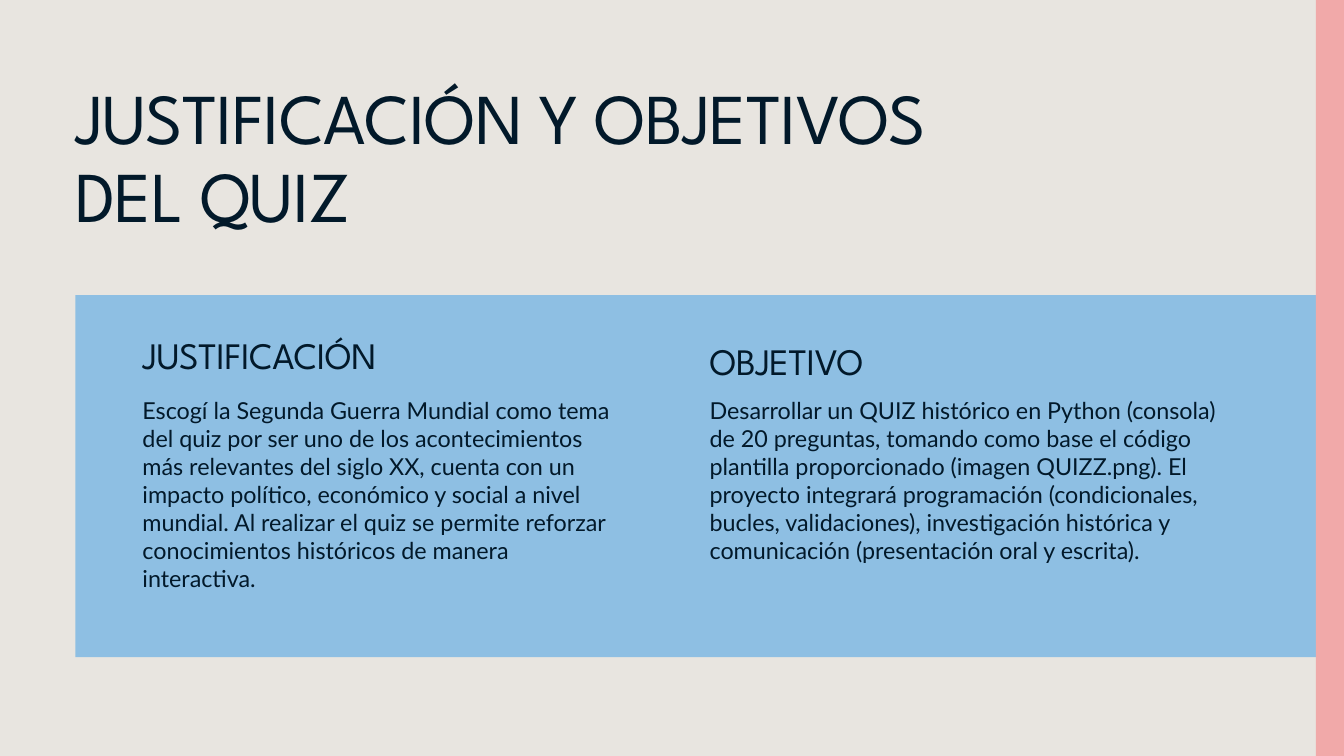
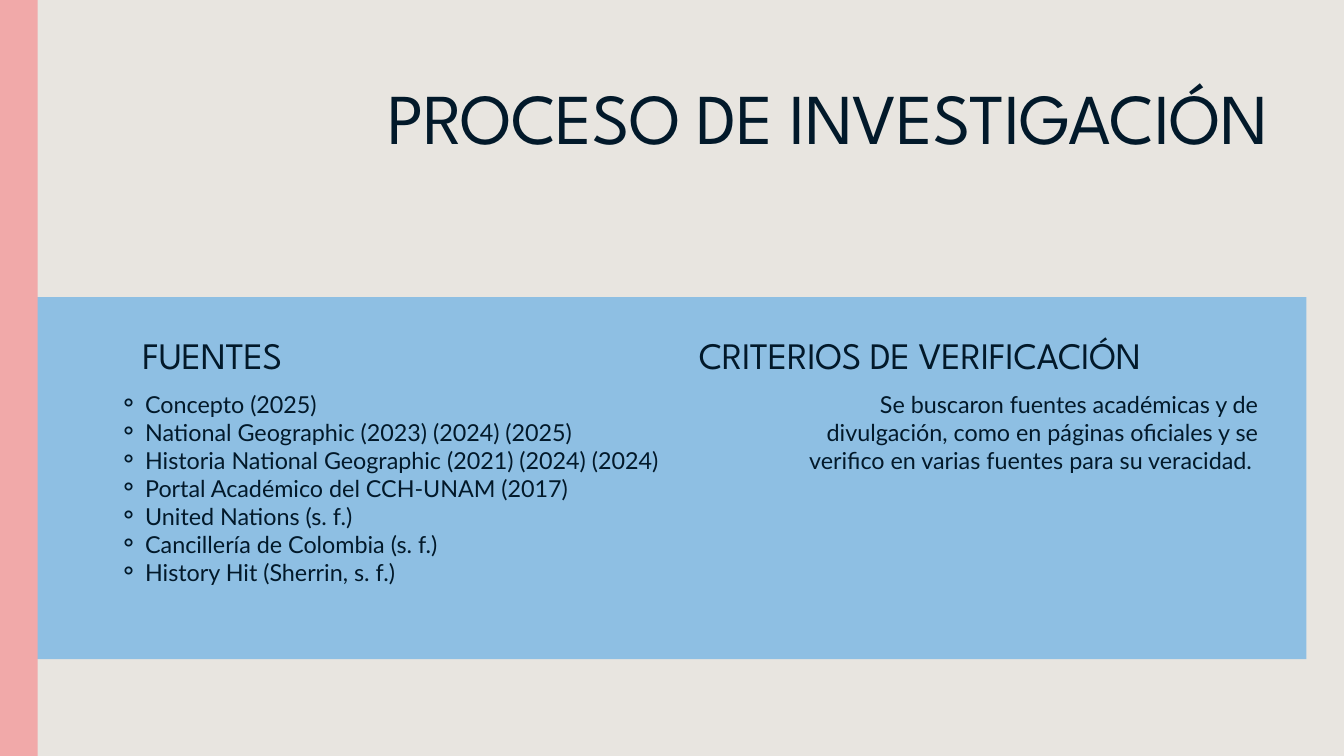
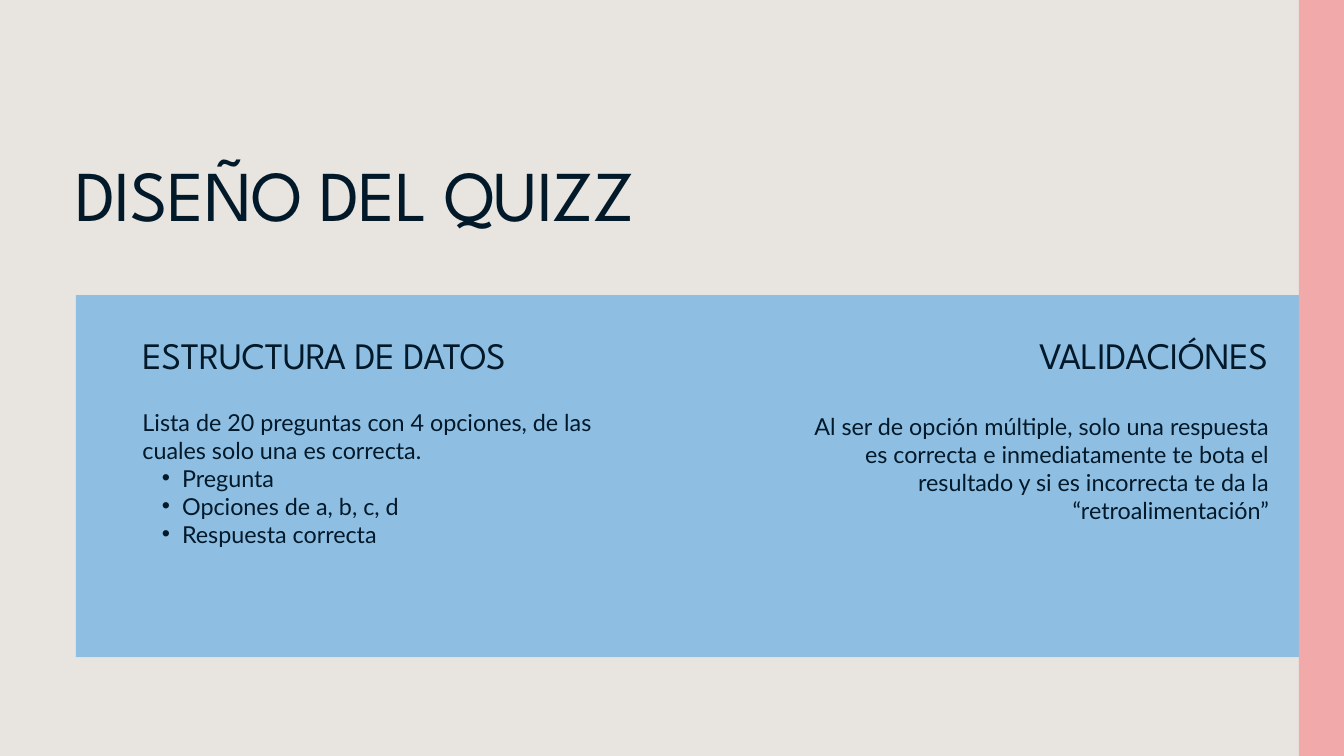
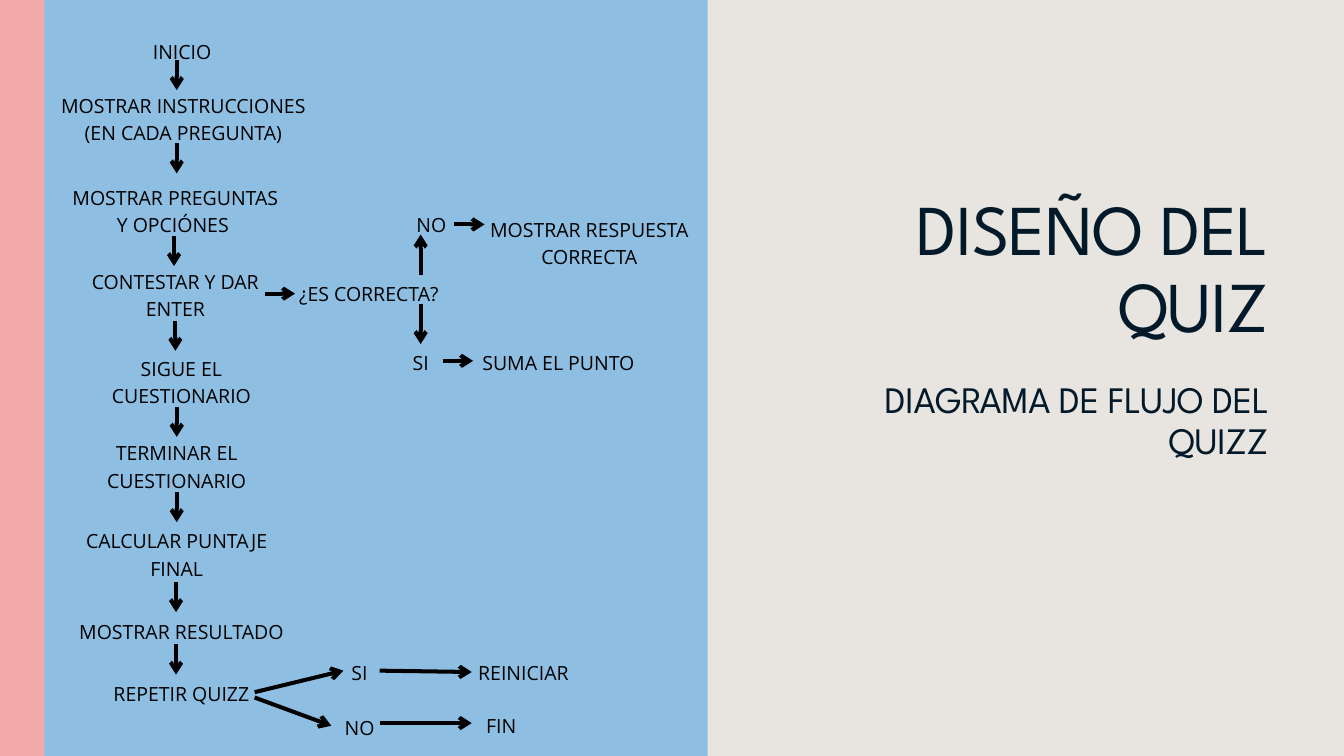
from lxml import etree
from pptx import Presentation
from pptx.dml.color import RGBColor
from pptx.enum.shapes import MSO_CONNECTOR, MSO_SHAPE
from pptx.enum.text import MSO_ANCHOR, MSO_AUTO_SIZE, PP_ALIGN
from pptx.oxml.ns import qn
from pptx.util import Inches, Pt

LEFT, CENTER, RIGHT = PP_ALIGN.LEFT, PP_ALIGN.CENTER, PP_ALIGN.RIGHT
TOP, NO_AUTOFIT = MSO_ANCHOR.TOP, MSO_AUTO_SIZE.NONE
RECTANGLE, STRAIGHT = MSO_SHAPE.RECTANGLE, MSO_CONNECTOR.STRAIGHT

# Shared look
BEIGE = RGBColor(0xE8, 0xE5, 0xE0)
BLUE = RGBColor(0x8E, 0xBF, 0xE3)
PINK = RGBColor(0xF1, 0xA9, 0xA9)
NAVY = RGBColor(0x02, 0x19, 0x2A)
BLACK = RGBColor(0, 0, 0)
SLIDE_W, SLIDE_H = 20, 11.25
COVER_LAYOUT, COMPARISON_LAYOUT = 0, 4

TITLE = dict(font="League Spartan", size=76.6, line=82.8, tracking=-0.8)
HEADING = dict(font="League Spartan", size=40, line=43.2, tracking=-0.4)
BODY = dict(font="Lato", size=25, line=30)
STEP = dict(font="Open Sans", size=20.9, line=29.3, color=BLACK, align=CENTER)

# Bullet: (character, level, left margin, hanging indent)
RING = ("⚬", 2, 1.18, -0.39)
DOT = ("•", 1, 0.59, -0.3)

# Two-column slides; boxes are (left, top, width, height)
COLUMN_SLIDES = [
    dict(
        title=("JUSTIFICACIÓN Y OBJETIVOS DEL QUIZ", (1.12, 1.22, 13.07, 2.32), LEFT),
        panel=(1.12, 4.39, 18.88, 5.39),
        edge=(19.58, 0, 0.42, SLIDE_H),
        columns=[
            dict(heading=("JUSTIFICACIÓN", (2.12, 5.01, 5.25, 0.62), LEFT),
                 body=(["Escogí la Segunda Guerra Mundial como tema del quiz por ser uno "
                        "de los acontecimientos más relevantes del siglo XX, cuenta con un "
                        "impacto político, económico y social a nivel mundial. Al realizar "
                        "el quiz se permite reforzar conocimientos históricos de manera "
                        "interactiva."], (2.12, 5.89, 6.99, 3.66), LEFT)),
            dict(heading=("OBJETIVO", (10.56, 5.1, 5.25, 0.62), LEFT),
                 body=(["Desarrollar un QUIZ histórico en Python (consola) de 20 preguntas, "
                        "tomando como base el código plantilla proporcionado (imagen "
                        "QUIZZ.png). El proyecto integrará programación (condicionales, "
                        "bucles, validaciones), investigación histórica y comunicación "
                        "(presentación oral y escrita)."], (10.56, 5.89, 7.57, 3.25), LEFT)),
        ],
    ),
    dict(
        title=("PROCESO DE INVESTIGACIÓN", (5.62, 1.22, 13.26, 2.33), RIGHT),
        panel=(0, 4.42, 19.44, 5.39),
        edge=(0, 0, 0.56, SLIDE_H),
        columns=[
            dict(heading=("FUENTES", (2.12, 5.01, 5.25, 0.62), LEFT),
                 body=([(RING, "Concepto (2025)"),
                        (RING, "National Geographic (2023) (2024) (2025)"),
                        (RING, "Historia National Geographic (2021) (2024) (2024)"),
                        (RING, "Portal Académico del CCH-UNAM (2017)"),
                        (RING, "United Nations (s. f.)"),
                        (RING, "Cancillería de Colombia (s. f.)"),
                        (RING, "History Hit (Sherrin, s. f.)")],
                       (0.98, 5.8, 11.91, 3.25), LEFT)),
            dict(heading=("CRITERIOS DE VERIFICACIÓN", (10.4, 5.01, 8.47, 0.62), LEFT),
                 body=(["Se buscaron fuentes académicas y de divulgación, como en páginas "
                        "oficiales y se verifico en varias fuentes para su veracidad. "],
                       (11.73, 5.8, 6.99, 2.03), RIGHT)),
        ],
    ),
    dict(
        title=("DISEÑO DEL QUIZZ", (1.12, 2.36, 13.07, 1.18), LEFT),
        panel=(1.13, 4.39, 18.87, 5.39),
        edge=(19.33, 0, 0.67, SLIDE_H),
        columns=[
            dict(heading=("ESTRUCTURA DE DATOS", (2.12, 5.01, 8.47, 0.62), LEFT),
                 body=(["Lista de 20 preguntas con 4 opciones, de las cuales solo una es "
                        "correcta.",
                        (DOT, "Pregunta"),
                        (DOT, "Opciones de a, b, c, d"),
                        (DOT, "Respuesta correcta")], (2.12, 6.07, 6.99, 2.03), LEFT)),
            dict(heading=("VALIDACIÓNES", (10.4, 5.01, 8.47, 0.62), RIGHT),
                 body=(["Al ser de opción múltiple, solo una respuesta es correcta e "
                        "inmediatamente te bota el resultado y si es incorrecta te da la "
                        "“retroalimentación”"], (11.89, 6.14, 6.99, 1.62), RIGHT)),
        ],
    ),
]

# Flow chart slide
FLOW_TITLE = ("DISEÑO DEL QUIZ", (12.24, 2.86, 6.64, 2.33), RIGHT)
FLOW_SUBTITLE = ("DIAGRAMA DE FLUJO DEL QUIZZ", (11.82, 5.67, 7.06, 1.21), RIGHT)
FLOW_PANEL = (0, 0, 10.53, SLIDE_H)
FLOW_EDGE = (0, 0, 0.66, SLIDE_H)
STEP_W = 3.1
STEP_HEIGHTS = {1: 0.38, 2: 0.78}

# (paragraphs, left, top, width, lines)
FLOW_STEPS = [
    (["INICIO"], 2.02, 0.54, 1.38, 1),
    (["MOSTRAR INSTRUCCIONES", "(EN CADA PREGUNTA)"], 0.75, 1.34, 3.96, 2),
    (["MOSTRAR PREGUNTAS Y OPCIÓNES "], 1.06, 2.71, STEP_W, 2),
    (["CONTESTAR Y DAR ENTER"], 1.06, 3.96, STEP_W, 2),
    (["¿ES CORRECTA?"], 3.94, 4.14, STEP_W, 1),
    (["SI"], 4.71, 5.17, STEP_W, 1),
    (["NO"], 4.87, 3.11, STEP_W, 1),
    (["SUMA EL PUNTO"], 6.76, 5.17, STEP_W, 1),
    (["MOSTRAR RESPUESTA CORRECTA"], 7.22, 3.18, STEP_W, 2),
    (["SIGUE EL CUESTIONARIO"], 1.15, 5.25, STEP_W, 2),
    (["TERMINAR EL CUESTIONARIO"], 1.08, 6.51, STEP_W, 2),
    (["CALCULAR PUNTAJE FINAL"], 1.08, 7.82, STEP_W, 2),
    (["MOSTRAR RESULTADO"], 1.15, 9.16, STEP_W, 1),
    (["REPETIR QUIZZ"], 1.15, 10.09, STEP_W, 1),
    (["SI"], 3.8, 9.77, STEP_W, 1),
    (["NO"], 3.8, 10.59, STEP_W, 1),
    (["REINICIAR"], 6.24, 9.77, STEP_W, 1),
    (["FIN"], 5.91, 10.56, STEP_W, 1),
]

# Short arrows share one length; the others are (x1, y1, x2, y2)
SHORT_ARROW = 0.45
DOWN_STARTS = [(2.63, 0.89), (2.63, 2.13), (2.59, 3.51), (2.61, 4.77),
               (2.63, 6.05), (2.63, 7.32), (2.62, 8.66), (2.62, 9.59)]
RIGHT_STARTS = [(3.94, 4.37), (6.76, 3.34), (6.59, 5.37)]
BRANCH_ARROWS = [
    (6.26, 4.1, 6.26, 3.49), (6.26, 4.52, 6.26, 5.12),
    (3.79, 10.38, 4.93, 10.8), (3.79, 10.3, 5.11, 9.98),
    (5.65, 9.98, 7.02, 10), (5.65, 10.76, 7.02, 10.76),
]


def set_bullet(paragraph, bullet):
    """Give the paragraph its bullet and indents, or clear inherited ones."""
    char, level, margin, indent = bullet or (None, 0, 0, 0)
    paragraph.level = level
    props = paragraph._p.get_or_add_pPr()
    props.set("marL", str(Inches(margin)))
    props.set("indent", str(Inches(indent)))
    if char:
        etree.SubElement(props, qn("a:buChar")).set("char", char)
    else:
        etree.SubElement(props, qn("a:buNone"))


def write_text(shape, content, box, *, font, size, line, color=NAVY,
               align=LEFT, tracking=0):
    """Place the shape and fill it with a string or a list of paragraphs."""
    shape.left, shape.top, shape.width, shape.height = map(Inches, box)
    frame = shape.text_frame
    frame.word_wrap = True
    frame.auto_size = NO_AUTOFIT
    frame.vertical_anchor = TOP
    frame.margin_left = frame.margin_top = frame.margin_right = frame.margin_bottom = 0
    items = [content] if isinstance(content, str) else content
    for number, item in enumerate(items):
        bullet, text = (None, item) if isinstance(item, str) else item
        paragraph = frame.add_paragraph() if number else frame.paragraphs[0]
        set_bullet(paragraph, bullet)
        paragraph.alignment = align
        paragraph.line_spacing = Pt(line)
        paragraph.space_before = paragraph.space_after = Pt(0)
        run = paragraph.add_run()
        run.text = text
        run.font.name = font
        run.font.size = Pt(size)
        run.font.bold = False
        run.font.color.rgb = color
        if tracking:
            run._r.get_or_add_rPr().set("spc", str(round(tracking * 100)))


def add_bands(slide, panel, edge):
    """Blue panel, then pink edge strip, both behind the text."""
    for depth, (box, color) in enumerate([(panel, BLUE), (edge, PINK)]):
        band = slide.shapes.add_shape(RECTANGLE, *map(Inches, box))
        band.shadow.inherit = False
        band.fill.solid()
        band.fill.fore_color.rgb = color
        band.line.fill.background()
        slide.shapes._spTree.insert(2 + depth, band._element)


def add_arrow(slide, points):
    arrow = slide.shapes.add_connector(STRAIGHT, *map(Inches, points))
    arrow.line.color.rgb = BLACK
    arrow.line.width = Pt(4.3)
    props = arrow._element.spPr
    etree.SubElement(props.find(qn("a:ln")), qn("a:tailEnd")).set("type", "arrow")
    etree.SubElement(props, qn("a:effectLst"))


def add_column_slide(prs, page):
    slide = prs.slides.add_slide(prs.slide_layouts[COMPARISON_LAYOUT])
    add_bands(slide, page["panel"], page["edge"])
    title, *column_parts = slide.placeholders
    text, box, align = page["title"]
    write_text(title, text, box, align=align, **TITLE)
    parts = [(column[name], style) for column in page["columns"]
             for name, style in (("heading", HEADING), ("body", BODY))]
    for holder, ((text, box, align), style) in zip(column_parts, parts):
        write_text(holder, text, box, align=align, **style)


def add_flow_slide(prs):
    slide = prs.slides.add_slide(prs.slide_layouts[COVER_LAYOUT])
    add_bands(slide, FLOW_PANEL, FLOW_EDGE)
    parts = [(FLOW_TITLE, TITLE), (FLOW_SUBTITLE, HEADING)]
    for holder, ((text, box, align), style) in zip(slide.placeholders, parts):
        write_text(holder, text, box, align=align, **style)

    # Steps
    for paragraphs, left, top, width, lines in FLOW_STEPS:
        box = (left, top, width, STEP_HEIGHTS[lines])
        step = slide.shapes.add_textbox(*map(Inches, box))
        write_text(step, paragraphs, box, **STEP)

    # Arrows
    down = [(x, y, x, y + SHORT_ARROW) for x, y in DOWN_STARTS]
    across = [(x, y, x + SHORT_ARROW, y) for x, y in RIGHT_STARTS]
    for points in down + across + BRANCH_ARROWS:
        add_arrow(slide, points)


def main():
    prs = Presentation()
    prs.slide_width, prs.slide_height = Inches(SLIDE_W), Inches(SLIDE_H)
    background = prs.slide_master.background.fill
    background.solid()
    background.fore_color.rgb = BEIGE
    for page in COLUMN_SLIDES:
        add_column_slide(prs, page)
    add_flow_slide(prs)
    prs.save("out.pptx")


if __name__ == "__main__":
    main()
